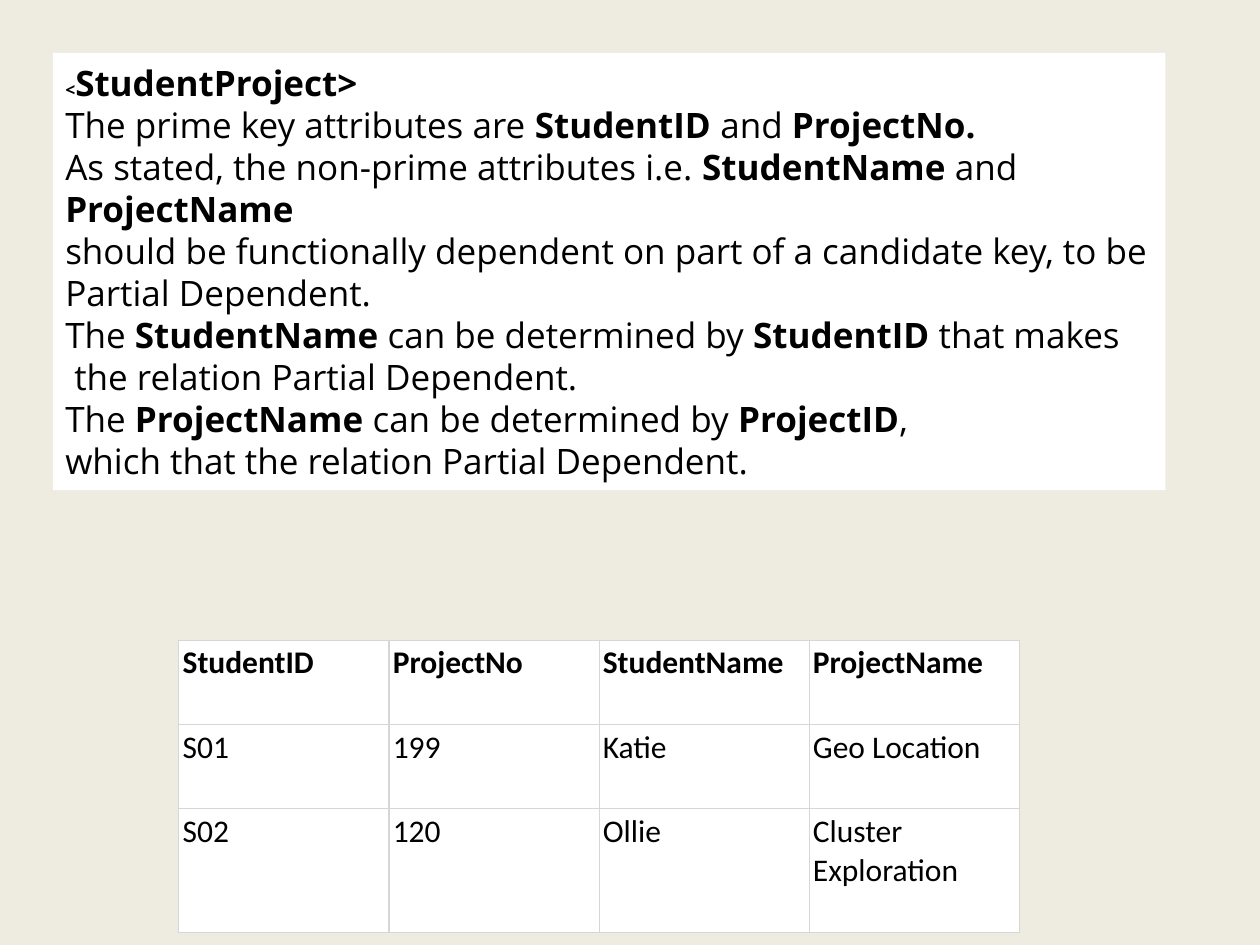
from dataclasses import dataclass

from lxml.etree import SubElement
from pptx import Presentation
from pptx.dml.color import RGBColor
from pptx.enum.shapes import MSO_SHAPE as Shape
from pptx.enum.text import MSO_ANCHOR as Anchor, MSO_AUTO_SIZE as AutoSize, PP_ALIGN as Align
from pptx.oxml.ns import qn
from pptx.util import Inches, Pt

BLACK, WHITE, BEIGE, GRID = "000000", "FFFFFF", "EEECE1", "D6D6D6"


@dataclass
class Span:
    text: str
    bold: bool = False
    size: int = 20


EXPLANATION = [
    [Span("<", True, 10), Span("StudentProject>", True)],
    [Span("The prime key attributes are "), Span("StudentID ", True),
     Span("and "), Span("ProjectNo.", True)],
    [Span("As stated, the non-prime attributes i.e. "), Span("StudentName ", True),
     Span("and "), Span("ProjectName \n", True),
     Span("should be functionally dependent on part of a candidate key, to be Partial Dependent.")],
    [Span("The "), Span("StudentName ", True), Span("can be determined by "),
     Span("StudentID ", True), Span("that makes\n the relation Partial Dependent.")],
    [Span("The "), Span("ProjectName ", True), Span("can be determined by "),
     Span("ProjectID", True), Span(", \nwhich that the relation Partial Dependent.")],
]
STUDENT_PROJECTS = [
    ["StudentID", "ProjectNo", "StudentName", "ProjectName"],
    ["S01", "199", "Katie", "Geo Location"],
    ["S02", "120", "Ollie", "Cluster Exploration"],
]
ROW_HEIGHTS = [0.67, 0.67, 0.98]


def paint(fill, color: str) -> None:
    fill.solid()
    fill.fore_color.rgb = RGBColor.from_string(color)


def write(paragraph, text: str, *, font: str, size: float, bold: bool = False,
          color: str = BLACK) -> None:
    paragraph.alignment = Align.LEFT
    for index, line in enumerate(text.split("\n")):
        if index:
            paragraph.add_line_break()
        if line:
            run = paragraph.add_run()
            run.text = line
            run.font.name, run.font.size, run.font.bold = font, Pt(size), bold
            run.font.color.rgb = RGBColor.from_string(color)


def outline(cell, color: str, width: float) -> None:
    properties = cell._tc.get_or_add_tcPr()
    for side in ("a:lnL", "a:lnR", "a:lnT", "a:lnB"):
        line = SubElement(properties, qn(side), w=str(Pt(width)))
        SubElement(SubElement(line, qn("a:solidFill")), qn("a:srgbClr"), val=color)


def add_explanation(slide) -> None:
    panel = slide.shapes.add_shape(
        Shape.RECTANGLE, Inches(0.42), Inches(0.42), Inches(8.83), Inches(3.47))
    panel.shadow.inherit = False
    paint(panel.fill, WHITE)
    panel.line.fill.background()
    frame = panel.text_frame
    frame.word_wrap = True
    frame.auto_size = AutoSize.SHAPE_TO_FIT_TEXT
    frame.vertical_anchor = Anchor.MIDDLE
    for index, spans in enumerate(EXPLANATION):
        paragraph = frame.add_paragraph() if index else frame.paragraphs[0]
        for span in spans:
            write(paragraph, span.text, font="Open Sans", size=span.size, bold=span.bold)


def add_records(slide) -> None:
    table = slide.shapes.add_table(
        len(STUDENT_PROJECTS), len(STUDENT_PROJECTS[0]),
        Inches(1.42), Inches(5.08), Inches(6.67), Inches(sum(ROW_HEIGHTS))).table
    for row_index, (values, height) in enumerate(zip(STUDENT_PROJECTS, ROW_HEIGHTS)):
        table.rows[row_index].height = Inches(height)
        for column_index, value in enumerate(values):
            cell = table.cell(row_index, column_index)
            cell.margin_left = cell.margin_right = Inches(0.03)
            cell.margin_top = cell.margin_bottom = Inches(0.03)
            outline(cell, GRID, 0.75)
            paint(cell.fill, WHITE)
            write(cell.text_frame.paragraphs[0], value, font="Calibri", size=18,
                  bold=row_index == 0)


def main() -> None:
    deck = Presentation()
    deck.slide_width, deck.slide_height = Inches(10), Inches(7.5)
    slide = deck.slides.add_slide(deck.slide_layouts[6])
    paint(slide.background.fill, BEIGE)
    add_explanation(slide)
    add_records(slide)
    deck.save("out.pptx")


if __name__ == "__main__":
    main()
